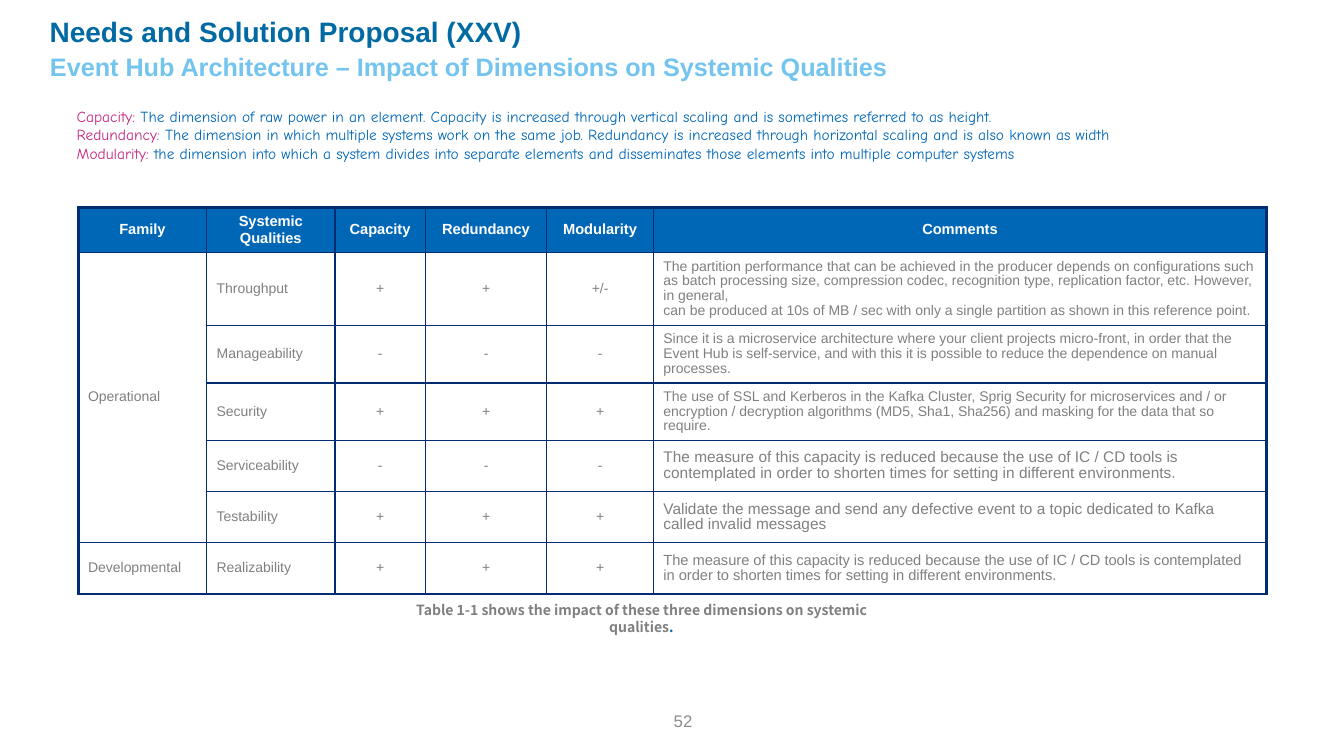
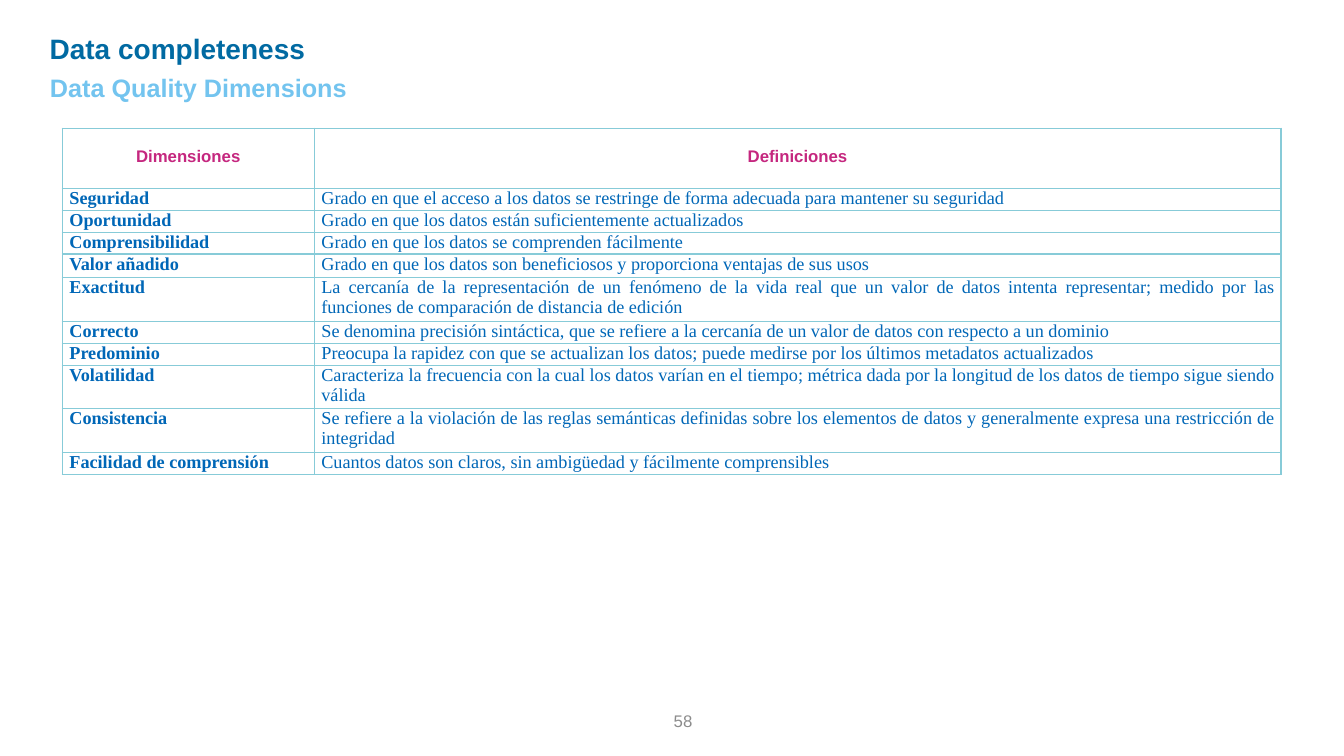
from dataclasses import dataclass, replace
from typing import NamedTuple, Optional

from lxml.etree import SubElement
from pptx import Presentation
from pptx.dml.color import RGBColor
from pptx.enum.text import MSO_ANCHOR as Anchor, MSO_AUTO_SIZE as AutoSize, PP_ALIGN as Align
from pptx.oxml import parse_xml
from pptx.oxml.ns import nsdecls, qn
from pptx.util import Cm, Pt

TITLE_BLUE = RGBColor(0x01, 0x6A, 0xA2)
SKY = RGBColor(0x73, 0xC4, 0xEF)
BLUE = RGBColor(0x00, 0x67, 0xB7)
NAVY = RGBColor(0x00, 0x2D, 0x72)
AQUA = RGBColor(0x87, 0xCB, 0xD8)
MAGENTA = RGBColor(0xC5, 0x27, 0x7F)
GRAY = RGBColor(0x80, 0x80, 0x80)
PAGE_GRAY = RGBColor(0x8C, 0x8C, 0x8C)
WHITE = RGBColor(0xFF, 0xFF, 0xFF)

COMPARISON_LAYOUT = 4
SUBTITLE_IDX, DEFINITIONS_IDX = 1, 3


class Box(NamedTuple):
    """Left, top, width and height in centimetres."""
    left: float
    top: float
    width: float
    height: float


@dataclass(frozen=True)
class TextStyle:
    size: float
    color: RGBColor
    font: str = "Arial"
    bold: bool = False
    align: Align = Align.LEFT
    line_spacing: float = 1.0


@dataclass(frozen=True)
class CellStyle:
    text: TextStyle
    margin_x: float
    margin_top: float
    margin_bottom: float
    anchor: Anchor
    fill: Optional[RGBColor] = None


class Entry(NamedTuple):
    text: str
    style: CellStyle


@dataclass(frozen=True)
class Grid:
    box: Box
    columns: list[float]
    rows: list[float]
    line: RGBColor
    outer_width: float = 1.0


class Quality(NamedTuple):
    name: str
    signs: tuple[str, str, str]
    comment: str
    comment_size: float = 10


class Dimension(NamedTuple):
    name: str
    definition: str
    height: float = 0.55


TITLE = TextStyle(20, TITLE_BLUE, bold=True)
SUBTITLE = TextStyle(18, SKY, bold=True)
PAGE_NUMBER = TextStyle(12, PAGE_GRAY, align=Align.RIGHT)
DEFINITION = TextStyle(11, BLUE, "Comic Neue")
TERM = replace(DEFINITION, color=MAGENTA)
CAPTION = TextStyle(10, GRAY, "Noto Sans CJK KR", True, Align.CENTER)

IMPACT_HEAD = CellStyle(TextStyle(10.5, WHITE, bold=True, align=Align.CENTER),
                        0.25, 0.13, 0.13, Anchor.MIDDLE, BLUE)
IMPACT_TEXT = replace(IMPACT_HEAD, text=TextStyle(10, GRAY, line_spacing=0.93), fill=None)
IMPACT_SIGN = replace(IMPACT_TEXT, text=replace(IMPACT_TEXT.text, align=Align.CENTER))
QUALITY_HEAD = CellStyle(TextStyle(12, MAGENTA, bold=True, align=Align.CENTER),
                         0.05, 0.48, 0, Anchor.TOP)
QUALITY_TEXT = CellStyle(TextStyle(13, BLUE, "Times New Roman", align=Align.JUSTIFY),
                         0.18, 0, 0, Anchor.TOP)
QUALITY_NAME = replace(QUALITY_TEXT, text=replace(QUALITY_TEXT.text, bold=True))

IMPACT_HEADINGS = ["Family", "Systemic Qualities", "Capacity", "Redundancy",
                   "Modularity", "Comments"]
REDUCED_COMMENT = ("The measure of this capacity is reduced because the use of IC / CD tools is "
                   "contemplated in order to shorten times for setting in different environments.")
ALL_UP, ALL_DOWN = ("+", "+", "+"), ("-", "-", "-")
FAMILIES = {
    "Operational": [
        Quality("Throughput", ("+", "+", "+/-"),
                "The partition performance that can be achieved in the producer depends on "
                "configurations such as batch processing size, compression codec, recognition "
                "type, replication factor, etc. However, in general,\n"
                "can be produced at 10s of MB / sec with only a single partition as shown in "
                "this reference point."),
        Quality("Manageability", ALL_DOWN,
                "Since it is a microservice architecture where your client projects "
                "micro-front, in order that the Event Hub is self-service, and with this it is "
                "possible to reduce the dependence on manual processes."),
        Quality("Security", ALL_UP,
                "The use of SSL and Kerberos in the Kafka Cluster, Sprig Security for "
                "microservices and / or encryption / decryption algorithms (MD5, Sha1, Sha256) "
                "and masking for the data that so require."),
        Quality("Serviceability", ALL_DOWN, REDUCED_COMMENT, 11),
        Quality("Testability", ALL_UP,
                "Validate the message and send any defective event to a topic dedicated to "
                "Kafka called invalid messages", 11),
    ],
    "Developmental": [Quality("Realizability", ALL_UP, REDUCED_COMMENT, 10.5)],
}
SCALING_TERMS = [
    ("Capacity: ", "The dimension of raw power in an element. Capacity is increased through "
                   "vertical scaling and is sometimes referred to as height."),
    ("Redundancy: ", "The dimension in which multiple systems work on the same job. Redundancy "
                     "is increased through horizontal scaling and is also known as width"),
    ("Modularity: ", "the dimension into which a system divides into separate elements and "
                     "disseminates those elements into multiple computer systems"),
]
DIMENSIONS = [
    Dimension("Seguridad", "Grado en que el acceso a los datos se restringe de forma adecuada "
                           "para mantener su seguridad"),
    Dimension("Oportunidad", "Grado en que los datos están suficientemente actualizados"),
    Dimension("Comprensibilidad", "Grado en que los datos se comprenden fácilmente"),
    Dimension("Valor añadido", "Grado en que los datos son beneficiosos y proporciona ventajas "
                               "de sus usos", 0.6),
    Dimension("Exactitud", "La cercanía de la representación de un fenómeno de la vida real que "
                           "un valor de datos intenta representar; medido por las funciones de "
                           "comparación de distancia de edición", 1.1),
    Dimension("Correcto", "Se denomina precisión sintáctica, que se refiere a la cercanía de un "
                          "valor de datos con respecto a un dominio"),
    Dimension("Predominio", "Preocupa la rapidez con que se actualizan los datos; puede medirse "
                            "por los últimos metadatos actualizados"),
    Dimension("Volatilidad", "Caracteriza la frecuencia con la cual los datos varían en el "
                             "tiempo; métrica dada por la longitud de los datos de tiempo sigue "
                             "siendo válida", 1.1),
    Dimension("Consistencia", "Se refiere a la violación de las reglas semánticas definidas "
                              "sobre los elementos de datos y generalmente expresa una "
                              "restricción de integridad", 1.1),
    Dimension("Facilidad de comprensión", "Cuantos datos son claros, sin ambigüedad y fácilmente "
                                          "comprensibles"),
]


def add_run(paragraph, text: str, style: TextStyle) -> None:
    """Add styled text, turning each newline into a line break."""
    for i, line in enumerate(text.split("\n")):
        if i:
            paragraph.add_line_break()
        run = paragraph.add_run()
        run.text = line
        run.font.name = style.font
        run.font.size = Pt(style.size)
        run.font.bold = style.bold
        run.font.color.rgb = style.color


def fill_frame(frame, paragraphs: list[list[tuple[str, TextStyle]]]) -> None:
    for i, runs in enumerate(paragraphs):
        paragraph = frame.add_paragraph() if i else frame.paragraphs[0]
        style = runs[0][1]
        paragraph.alignment = style.align
        paragraph.line_spacing = style.line_spacing
        paragraph.space_before = Pt(0)
        for text, run_style in runs:
            add_run(paragraph, text, run_style)


def place_text(shape, box: Box, paragraphs: list[list[tuple[str, TextStyle]]],
               inset: float, anchor: Anchor = Anchor.TOP) -> None:
    shape.left, shape.top, shape.width, shape.height = map(Cm, box)
    frame = shape.text_frame
    frame.word_wrap = True
    frame.auto_size = AutoSize.NONE
    frame.vertical_anchor = anchor
    frame.margin_left = frame.margin_right = Cm(inset)
    frame.margin_top = frame.margin_bottom = Cm(inset)
    fill_frame(frame, paragraphs)


def add_text_box(slide, box: Box, runs: list[tuple[str, TextStyle]], inset: float) -> None:
    shape = slide.shapes.add_textbox(*map(Cm, box))
    place_text(shape, box, [runs], inset, Anchor.MIDDLE)


def add_headed_slide(deck, title: str, subtitle: str, top: float, subtitle_top: float,
                     page: int):
    slide = deck.slides.add_slide(deck.slide_layouts[COMPARISON_LAYOUT])
    place_text(slide.shapes.title, Box(1.12, top, 21.08, 1.12), [[(title, TITLE)]], 0.13)
    place_text(slide.placeholders[SUBTITLE_IDX], Box(1.13, subtitle_top, 22.5, 1.02),
               [[(subtitle, SUBTITLE)]], 0.13)
    add_text_box(slide, Box(8.48, 17.65, 9.22, 1.02), [(str(page), PAGE_NUMBER)], 0.25)
    return slide


def remove_empty_placeholders(slide) -> None:
    for holder in list(slide.placeholders):
        if not holder.text_frame.text:
            holder.element.getparent().remove(holder.element)


def set_borders(cell, color: RGBColor, widths: dict[str, float]) -> None:
    properties = cell._tc.get_or_add_tcPr()
    for i, (side, width) in enumerate(widths.items()):
        line = parse_xml(f'<a:ln{side} {nsdecls("a")} w="{Pt(width)}"/>')
        SubElement(SubElement(line, qn("a:solidFill")), qn("a:srgbClr"), val=str(color))
        properties.insert(i, line)


def style_cell(cell, entry: Entry) -> None:
    style = entry.style
    if style.fill is None:
        cell.fill.background()
    else:
        cell.fill.solid()
        cell.fill.fore_color.rgb = style.fill
    cell.vertical_anchor = style.anchor
    cell.margin_left = cell.margin_right = Cm(style.margin_x)
    cell.margin_top, cell.margin_bottom = Cm(style.margin_top), Cm(style.margin_bottom)
    if entry.text:
        fill_frame(cell.text_frame, [[(entry.text, style.text)]])


def draw_table(slide, grid: Grid, entries: list[list[Entry]]):
    """Draw the table; its left, top and right edges take the outer width."""
    table = slide.shapes.add_table(len(grid.rows), len(grid.columns), *map(Cm, grid.box)).table
    table.first_row = table.horz_banding = False
    for column, width in zip(table.columns, grid.columns):
        column.width = Cm(width)
    for row, height in zip(table.rows, grid.rows):
        row.height = Cm(height)
    last = len(grid.columns) - 1
    for r, row_entries in enumerate(entries):
        for c, entry in enumerate(row_entries):
            cell = table.cell(r, c)
            style_cell(cell, entry)
            set_borders(cell, grid.line, {
                "L": grid.outer_width if c == 0 else 1,
                "R": grid.outer_width if c == last else 1,
                "T": grid.outer_width if r == 0 else 1,
                "B": 1,
            })
    return table


def build_impact_slide(deck) -> None:
    slide = add_headed_slide(
        deck, "Needs and Solution Proposal (XXV)",
        "Event Hub Architecture – Impact of Dimensions on Systemic Qualities", 0.23, 1.17, 52)
    place_text(slide.placeholders[DEFINITIONS_IDX], Box(1.68, 2.44, 28.98, 2.51),
               [[(term, TERM), (meaning, DEFINITION)] for term, meaning in SCALING_TERMS], 0.25)

    entries = [[Entry(heading, IMPACT_HEAD) for heading in IMPACT_HEADINGS]]
    for family, qualities in FAMILIES.items():
        for i, quality in enumerate(qualities):
            comment_text = replace(IMPACT_TEXT.text, size=quality.comment_size)
            entries.append([
                Entry("" if i else family, IMPACT_TEXT),
                Entry(quality.name, IMPACT_TEXT),
                *(Entry(sign, IMPACT_SIGN) for sign in quality.signs),
                Entry(quality.comment, replace(IMPACT_TEXT, text=comment_text)),
            ])
    grid = Grid(Box(1.97, 5.22, 29.95, 9.73), [3.24, 3.23, 2.28, 3.06, 2.69, 15.45],
                [1.14, 1.84, 1.45, 1.45, 1.29, 1.29, 1.29], NAVY, 2.25)
    table = draw_table(slide, grid, entries)
    table.cell(1, 0).merge(table.cell(len(FAMILIES["Operational"]), 0))

    add_text_box(slide, Box(9.93, 15.21, 12.47, 0.76),
                 [("Table 1-1 shows the impact of these three dimensions on systemic qualities",
                   CAPTION), (".", replace(CAPTION, color=BLUE))], 0.25)
    remove_empty_placeholders(slide)


def build_quality_slide(deck) -> None:
    slide = add_headed_slide(deck, "Data completeness", "Data Quality Dimensions",
                             0.66, 1.7, 58)
    entries = [[Entry(heading, QUALITY_HEAD) for heading in ("Dimensiones", "Definiciones")]]
    entries += [[Entry(item.name, QUALITY_NAME), Entry(item.definition, QUALITY_TEXT)]
                for item in DIMENSIONS]
    heights = [1.52] + [item.height for item in DIMENSIONS]
    draw_table(slide, Grid(Box(1.57, 3.23, 30.71, 8.72), [6.35, 24.36], heights, AQUA), entries)
    remove_empty_placeholders(slide)


def main() -> None:
    deck = Presentation()
    deck.slide_width, deck.slide_height = Cm(33.87), Cm(19.05)
    build_impact_slide(deck)
    build_quality_slide(deck)
    deck.save("out.pptx")


if __name__ == "__main__":
    main()
